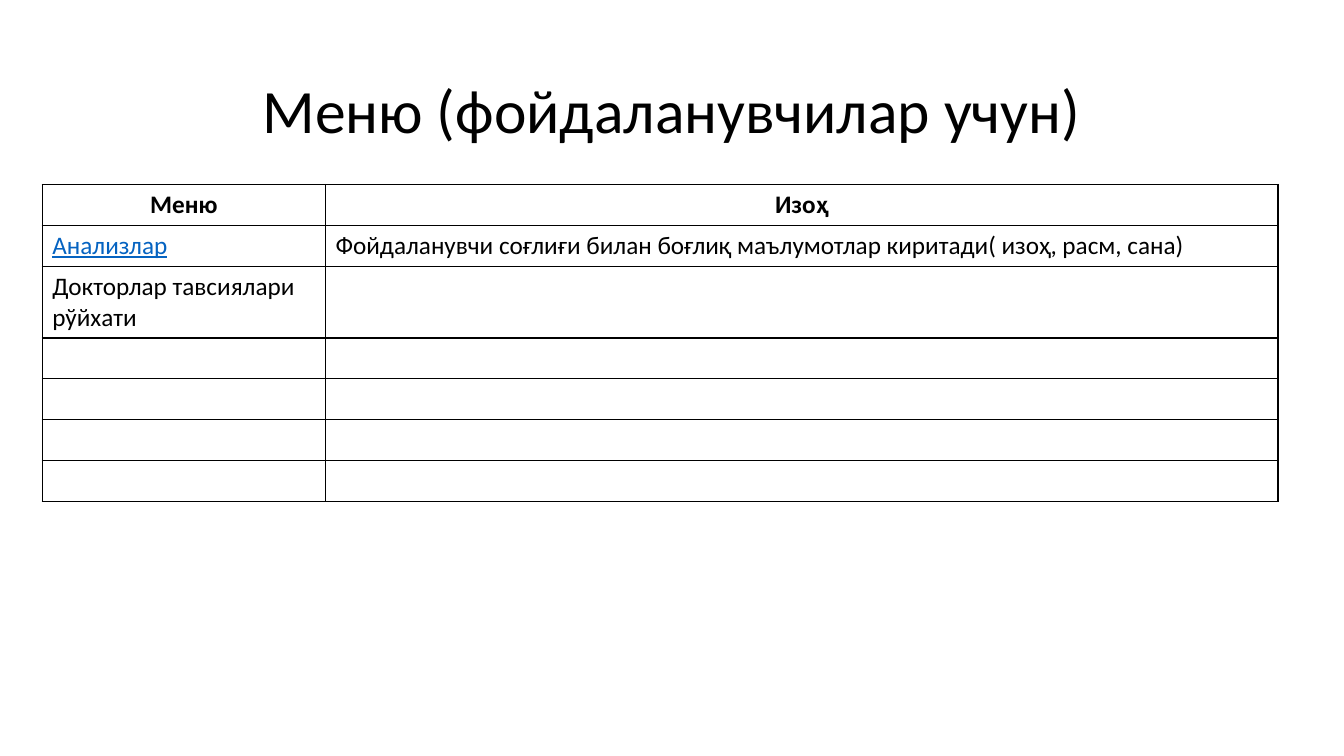
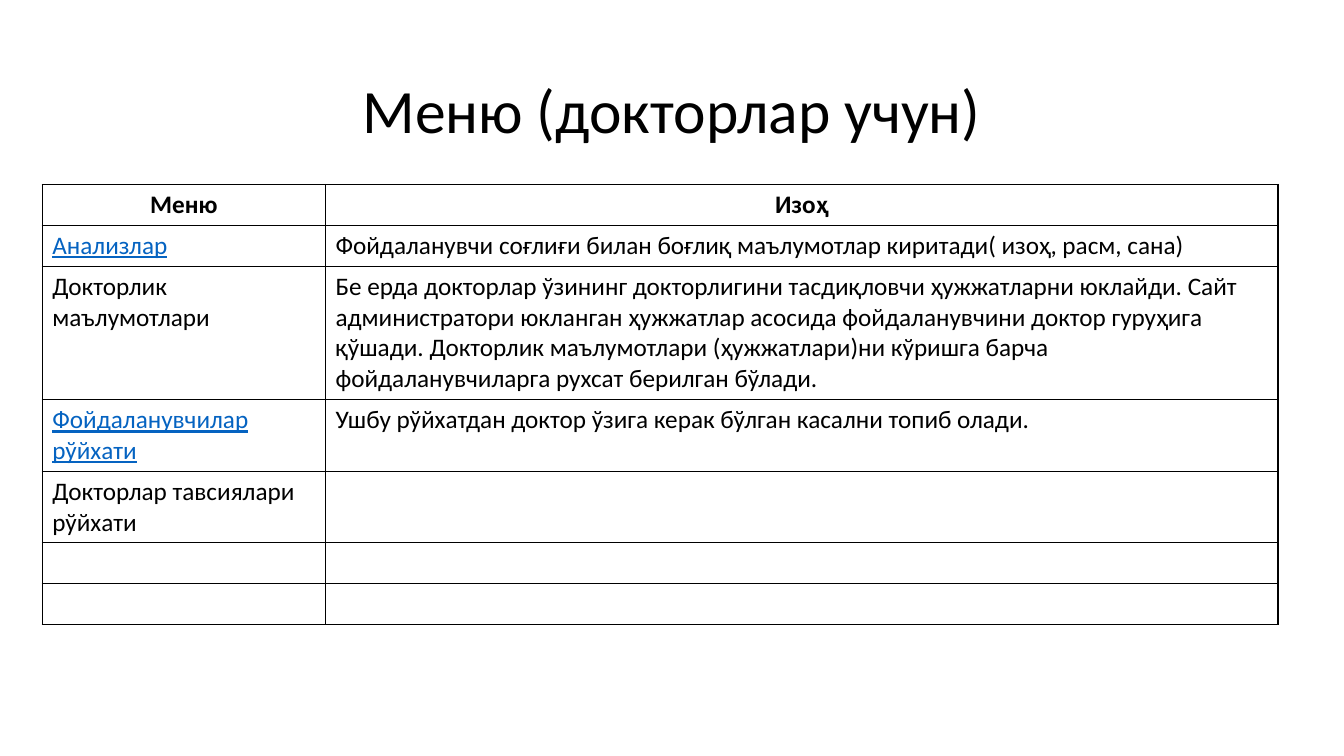
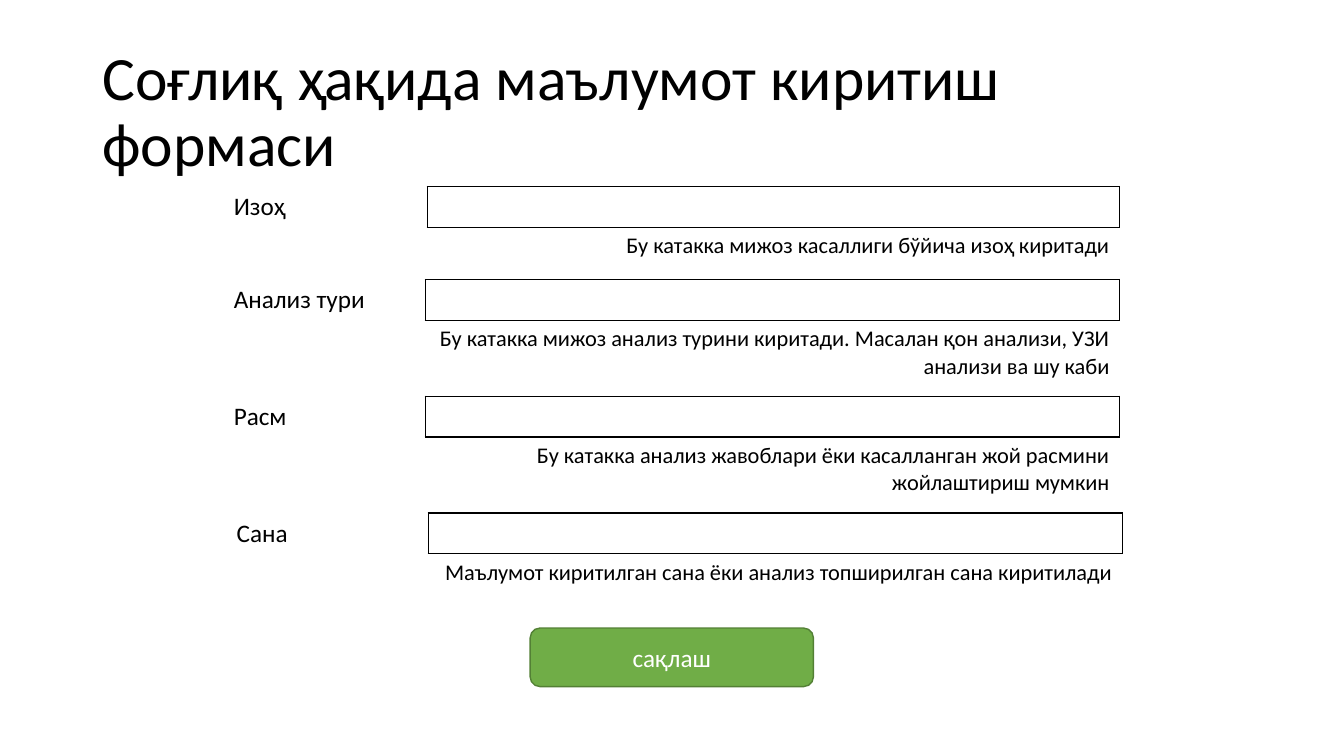
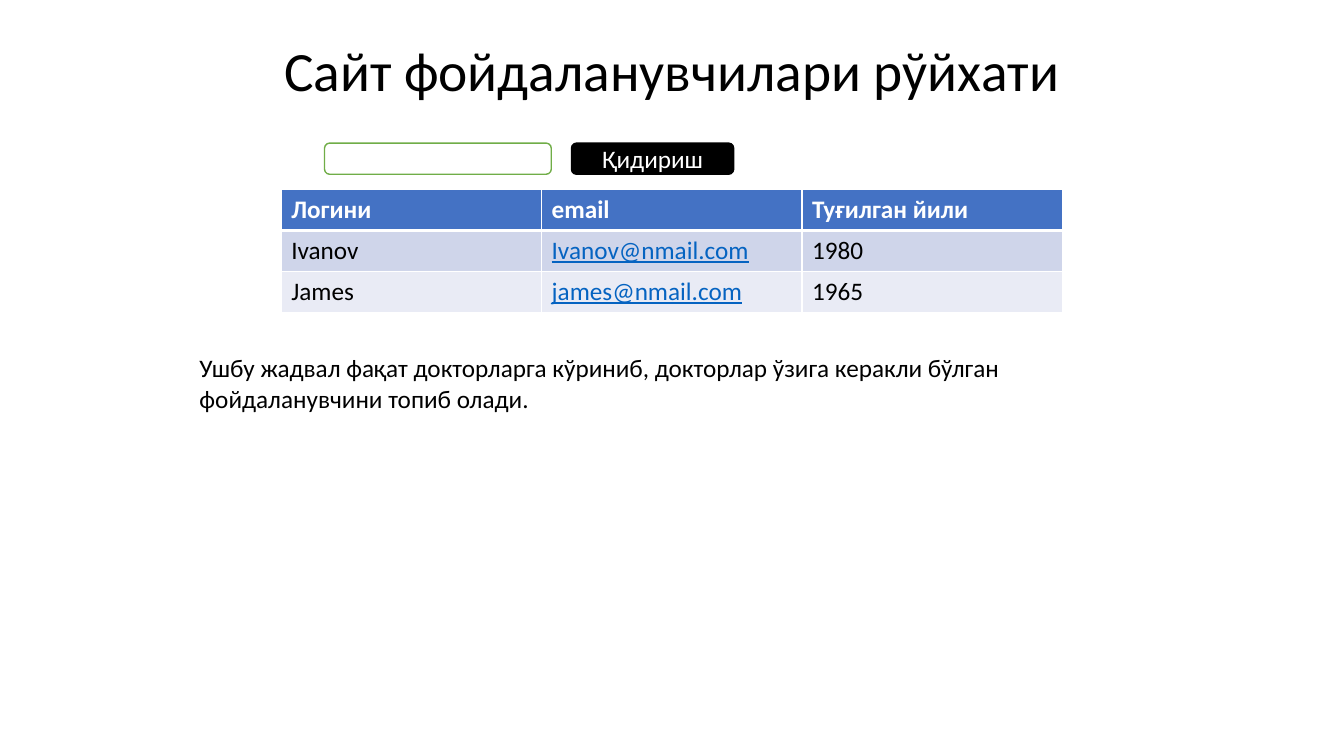
from collections import namedtuple

from lxml.etree import SubElement
from pptx import Presentation
from pptx.dml.color import RGBColor
from pptx.enum.shapes import MSO_SHAPE as Shape
from pptx.enum.text import MSO_ANCHOR as Anchor, MSO_AUTO_SIZE as AutoSize, PP_ALIGN as Align
from pptx.oxml.ns import qn
from pptx.util import Pt

COLORS = {
    "text": "000000", "white": "FFFFFF", "link": "0563C1",
    "green": "70AD47", "green_edge": "538035",
    "header": "4472C4", "band_dark": "CFD5EA", "band_light": "E9EBF5",
}
FONT = "Calibri"
NO_STYLE = "{2D5ABB26-0587-4C30-8999-92F81FD0307C}"
LINE = 22
ROW = 29.2
TITLE_ONLY = 5

Box = namedtuple("Box", "left top width height")
Style = namedtuple("Style", "size color bold underline align",
                   defaults=(18, "text", False, False, Align.LEFT))
BODY = Style()
LINK = Style(color="link", underline=True)
HEADING = Style(bold=True, align=Align.CENTER)
COLUMN_NAME = Style(color="white", bold=True)
HINT = Style(size=16, align=Align.RIGHT)
BUTTON = Style(color="white", align=Align.CENTER)

TITLE_BOX = Box(66, 28.8, 828, 104.4)
MENU_BOX = Box(30.2, 131.8, 882.7, 0)


def rgb(name):
    return RGBColor.from_string(COLORS[name])


def points(box):
    return [Pt(length) for length in box]


def write(frame, text, style):
    paragraph = frame.paragraphs[0]
    paragraph.alignment = style.align
    run = paragraph.add_run()
    run.text = text
    font = run.font
    font.name, font.size = FONT, Pt(style.size)
    font.bold, font.underline = style.bold, style.underline
    font.color.rgb = rgb(style.color)


def add_titled_slide(deck, text, align=Align.CENTER, size=44, box=TITLE_BOX):
    slide = deck.slides.add_slide(deck.slide_layouts[TITLE_ONLY])
    title = slide.shapes.title
    title.left, title.top, title.width, title.height = points(box)
    frame = title.text_frame
    frame.auto_size = AutoSize.NONE
    frame.word_wrap = True
    frame.vertical_anchor = Anchor.MIDDLE
    write(frame, text, Style(size=size, align=align))
    frame.paragraphs[0].line_spacing = 0.9
    return slide


def add_grid(slide, box, widths, heights):
    frame = slide.shapes.add_table(len(heights), len(widths), *points(box))
    for style_id in frame._element.iter(qn("a:tableStyleId")):
        style_id.text = NO_STYLE
    table = frame.table
    table.first_row = table.horz_banding = False
    for column, width in zip(table.columns, widths):
        column.width = Pt(width)
    for row, height in zip(table.rows, heights):
        row.height = Pt(height)
    return table


def set_borders(cell, color, **widths):
    properties = cell._tc.get_or_add_tcPr()
    for side in "LRTB":
        if side in widths:
            edge = SubElement(properties, qn(f"a:ln{side}"), w=str(Pt(widths[side])))
            fill = SubElement(edge, qn("a:solidFill"))
            SubElement(fill, qn("a:srgbClr"), val=COLORS[color])


def add_button(slide, box, fill, edge, text=""):
    button = slide.shapes.add_shape(Shape.ROUNDED_RECTANGLE, *points(box))
    button.shadow.inherit = False
    button.fill.solid()
    button.fill.fore_color.rgb = rgb(fill)
    button.line.color.rgb = rgb(edge)
    button.line.width = Pt(1)
    if text:
        button.text_frame.vertical_anchor = Anchor.MIDDLE
        write(button.text_frame, text, BUTTON)


def add_menu(slide, box, entries):
    entries = [("Меню", HEADING, "Изоҳ", 1)] + entries
    heights = [ROW + (lines - 1) * LINE for *_, lines in entries]
    name_width = 202.3
    table = add_grid(slide, box._replace(height=sum(heights)),
                     (name_width, box.width - name_width), heights)
    for row, (name, style, remark, _) in zip(table.rows, entries):
        remark_style = HEADING if style is HEADING else BODY
        for cell, text, text_style in zip(row.cells, (name, remark), (style, remark_style)):
            set_borders(cell, "text", L=1, R=1, T=1, B=1)
            cell.fill.background()
            if text:
                write(cell.text_frame, text, text_style)


def add_field(slide, box, label_width, label, hint):
    table = add_grid(slide, box, (label_width, box.width - label_width),
                     (ROW, box.height - ROW))
    entry = table.cell(0, 1)
    note = table.cell(1, 1)
    set_borders(entry, "text", L=1, R=1, T=1, B=1)
    set_borders(note, "text", T=1)
    write(table.cell(0, 0).text_frame, label, BODY)
    write(note.text_frame, hint, HINT)


def add_form(slide, box, fields):
    top = box.top
    for shift, label_width, label, hint, lines in fields:
        height = 2 * ROW + (lines - 1) * 17
        add_field(slide, Box(box.left + shift, top, box.width, height),
                  label_width, label, hint)
        top += height + 8
    add_button(slide, Box(box.left + 218.9, box.top + 315.4, 202.3, 41.8),
               "green", "green_edge", "сақлаш")


def add_search(slide, box):
    query_width, button_width = 162, 115.9
    add_button(slide, box._replace(width=query_width), "white", "green")
    add_button(slide, Box(box.left + box.width - button_width, box.top,
                          button_width, box.height), "text", "text", "Қидириш")


def add_users(slide, box, users):
    rows = [("Логини", "email", "Туғилган йили")] + users
    table = add_grid(slide, box, [box.width / 3] * 3, [ROW] * len(rows))
    for index, (row, texts) in enumerate(zip(table.rows, rows)):
        band = ("band_light", "band_dark")[index % 2] if index else "header"
        for cell, text in zip(row.cells, texts):
            set_borders(cell, "white", L=1, R=1, T=1 if index != 1 else 3,
                        B=1 if index else 3)
            cell.fill.solid()
            cell.fill.fore_color.rgb = rgb(band)
            style = LINK if "@" in text else BODY
            write(cell.text_frame, text, style if index else COLUMN_NAME)


def add_note(slide, box, text):
    note = slide.shapes.add_textbox(*points(box)).text_frame
    note.word_wrap = True
    note.auto_size = AutoSize.SHAPE_TO_FIT_TEXT
    write(note, text, BODY)


ANALYSES = ("Анализлар", LINK,
            "Фойдаланувчи соғлиғи билан боғлиқ маълумотлар киритади( изоҳ, расм, сана)", 1)
ADVICE = ("Докторлар тавсиялари рўйхати", BODY, "", 2)
EMPTY = ("", BODY, "", 1)
DOCTOR_ENTRIES = [
    ANALYSES,
    ("Докторлик маълумотлари", BODY,
     "Бе ерда докторлар ўзининг докторлигини тасдиқловчи ҳужжатларни юклайди. "
     "Сайт администратори юкланган ҳужжатлар асосида фойдаланувчини доктор "
     "гуруҳига қўшади. Докторлик маълумотлари (ҳужжатлари)ни кўришга барча "
     "фойдаланувчиларга рухсат берилган бўлади.", 4),
    ("Фойдаланувчилар рўйхати", LINK,
     "Ушбу рўйхатдан доктор ўзига керак бўлган касални топиб олади.", 2),
    ADVICE, EMPTY, EMPTY,
]
FIELDS = [
    (0, 145.4, "Изоҳ", "Бу катакка мижоз касаллиги бўйича изоҳ киритади", 1),
    (0, 144, "Анализ тури",
     "Бу катакка мижоз анализ турини киритади. Масалан қон анализи, УЗИ анализи ва шу каби", 2),
    (0, 144, "Расм",
     "Бу катакка анализ жавоблари ёки касалланган жой расмини жойлаштириш мумкин", 2),
    (2, 144, "Сана", "Маълумот киритилган сана ёки анализ топширилган сана киритилади", 1),
]
USERS = [("Ivanov", "Ivanov@nmail.com", "1980"), ("James", "james@nmail.com", "1965")]

deck = Presentation()
deck.slide_width, deck.slide_height = Pt(960), Pt(540)

user_menu = add_titled_slide(deck, "Меню (фойдаланувчилар учун)")
add_menu(user_menu, MENU_BOX, [ANALYSES, ADVICE] + [EMPTY] * 4)

doctor_menu = add_titled_slide(deck, "Меню (докторлар учун)")
add_menu(doctor_menu, MENU_BOX, DOCTOR_ENTRIES)

health_form = add_titled_slide(deck, "Соғлиқ ҳақида маълумот киритиш формаси", Align.LEFT)
add_form(health_form, Box(159.8, 133.2, 640, 357.2), FIELDS)

user_list = add_titled_slide(deck, "Сайт фойдаланувчилари рўйхати", size=39.6,
                             box=TITLE_BOX._replace(height=46.8))
add_users(user_list, Box(200.9, 135.4, 558, 3 * ROW), USERS)
add_search(user_list, Box(231.8, 102.2, 292.3, 22.3))
add_note(user_list, Box(135.4, 248.4, 704.9, 51.1),
         "Ушбу жадвал фақат докторларга кўриниб, докторлар ўзига керакли бўлган "
         "фойдаланувчини топиб олади.")

deck.save("out.pptx")
